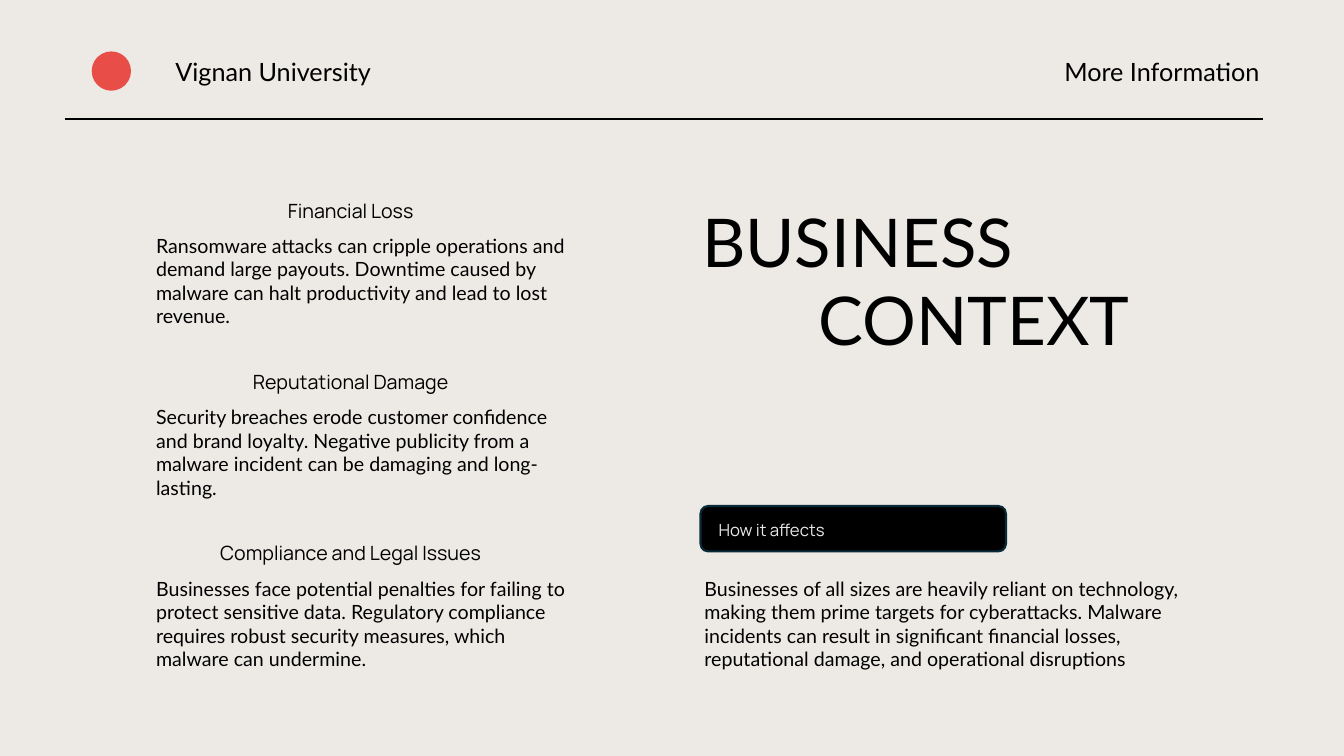
"""Build the business context slide on a grid of 40 columns by 30 rows."""
from dataclasses import dataclass

from lxml.etree import SubElement
from pptx import Presentation
from pptx.dml.color import RGBColor
from pptx.enum.shapes import MSO_CONNECTOR, MSO_SHAPE
from pptx.enum.text import MSO_AUTO_SIZE, PP_ALIGN
from pptx.oxml.ns import qn
from pptx.shapes.autoshape import Shape
from pptx.slide import Slide
from pptx.util import Inches, Pt

PAPER = RGBColor(0xED, 0xEA, 0xE5)
INK = RGBColor(0x00, 0x00, 0x00)
RED = RGBColor(0xE9, 0x4D, 0x48)
NAVY = RGBColor(0x09, 0x2A, 0x39)
PALE = RGBColor(0xE8, 0xE8, 0xE8)

WIDTH, HEIGHT = Inches(13.33), Inches(7.5)
COLUMNS, ROWS = 40, 30

LEFT_EDGE = 4.35
HEADER_TOP = 2.04
TOPICS_TOP, TOPIC_PITCH, TOPIC_BODY_DROP = 7.68, 6.8, 1.4
BODY_ROWS = 4.16


@dataclass(frozen=True)
class Area:
    column: float
    row: float
    columns: float
    rows: float


@dataclass(frozen=True)
class Style:
    font: str
    size: int
    color: RGBColor = INK
    align: PP_ALIGN = PP_ALIGN.LEFT


@dataclass(frozen=True)
class Label:
    area: Area
    text: str
    style: Style


@dataclass(frozen=True)
class Topic:
    heading: str
    body: str


TITLE = Style("Lato", 48, align=PP_ALIGN.CENTER)
BRAND = Style("Lato", 18, align=PP_ALIGN.CENTER)
MENU = Style("Lato", 18)
HEADING = Style("Manrope", 14, align=PP_ALIGN.CENTER)
BODY = Style("Lato", 14)
BUTTON = Style("Manrope", 12, PALE)

TOPICS = [
    Topic("Financial Loss",
          "Ransomware attacks can cripple operations and demand large payouts. "
          "Downtime caused by malware can halt productivity and lead to lost revenue."),
    Topic("Reputational Damage",
          "Security breaches erode customer confidence and brand loyalty. "
          "Negative publicity from a malware incident can be damaging and long-lasting."),
    Topic("Compliance and Legal Issues",
          "Businesses face potential penalties for failing to protect sensitive data. "
          "Regulatory compliance requires robust security measures, which malware can undermine."),
]

LABELS = [
    Label(Area(18.93, 7.76, 13.2, 3.64), "BUSINESS", TITLE),
    Label(Area(21.54, 10.84, 14.91, 3.64), "CONTEXT", TITLE),
    Label(Area(21.09, 20.44, 8.28, 1.2), "How it affects", BUTTON),
    Label(Area(20.67, 22.68, 15.3, BODY_ROWS),
          "Businesses of all sizes are heavily reliant on technology, making them prime "
          "targets for cyberattacks. Malware incidents can result in significant financial "
          "losses, reputational damage, and operational disruptions", BODY),
    Label(Area(LEFT_EDGE, HEADER_TOP, 7.56, 1.6), "Vignan University", BRAND),
    Label(Area(31.38, HEADER_TOP, 6.93, 1.6), "More Information", MENU),
]


def across(columns: float) -> int:
    return round(WIDTH * columns / COLUMNS)


def down(rows: float) -> int:
    return round(HEIGHT * rows / ROWS)


def frame(area: Area) -> tuple[int, int, int, int]:
    return across(area.column), down(area.row), across(area.columns), down(area.rows)


def add_label(page: Slide, label: Label) -> None:
    box = page.shapes.add_textbox(*frame(label.area))
    box.text_frame.word_wrap = True
    box.text_frame.auto_size = MSO_AUTO_SIZE.SHAPE_TO_FIT_TEXT
    para = box.text_frame.paragraphs[0]
    para.alignment = label.style.align
    span = para.add_run()
    span.text = label.text
    span.font.name = label.style.font
    span.font.size = Pt(label.style.size)
    span.font.color.rgb = label.style.color


def add_topic(page: Slide, topic: Topic, row: float) -> None:
    add_label(page, Label(Area(LEFT_EDGE, row, 12.18, 1.36), topic.heading, HEADING))
    body_area = Area(LEFT_EDGE, row + TOPIC_BODY_DROP, 13.02, BODY_ROWS)
    add_label(page, Label(body_area, topic.body, BODY))


def add_filled(page: Slide, preset: MSO_SHAPE, area: Area, fill: RGBColor) -> Shape:
    shape = page.shapes.add_shape(preset, *frame(area))
    shape.shadow.inherit = False
    shape.fill.solid()
    shape.fill.fore_color.rgb = fill
    shape.line.fill.background()
    return shape


def add_rule(page: Slide, start: float, end: float, row: float) -> None:
    rule = page.shapes.add_connector(
        MSO_CONNECTOR.STRAIGHT, across(start), down(row), across(end), down(row))
    rule.line.color.rgb = INK
    rule.line.width = Pt(1.5)
    SubElement(rule._element.spPr, qn("a:effectLst"))


def main() -> None:
    deck = Presentation()
    deck.slide_width, deck.slide_height = WIDTH, HEIGHT
    page = deck.slides.add_slide(deck.slide_layouts[6])
    page.background.fill.solid()
    page.background.fill.fore_color.rgb = PAPER

    button = add_filled(page, MSO_SHAPE.ROUNDED_RECTANGLE, Area(20.85, 20.08, 9.09, 1.8), INK)
    button.line.color.rgb = NAVY
    button.line.width = Pt(1.5)
    add_filled(page, MSO_SHAPE.OVAL, Area(2.73, HEADER_TOP, 1.17, 1.56), RED)
    add_rule(page, 1.92, 37.59, 4.72)

    for index, topic in enumerate(TOPICS):
        add_topic(page, topic, TOPICS_TOP + index * TOPIC_PITCH)
    for label in LABELS:
        add_label(page, label)

    deck.save("out.pptx")


if __name__ == "__main__":
    main()
